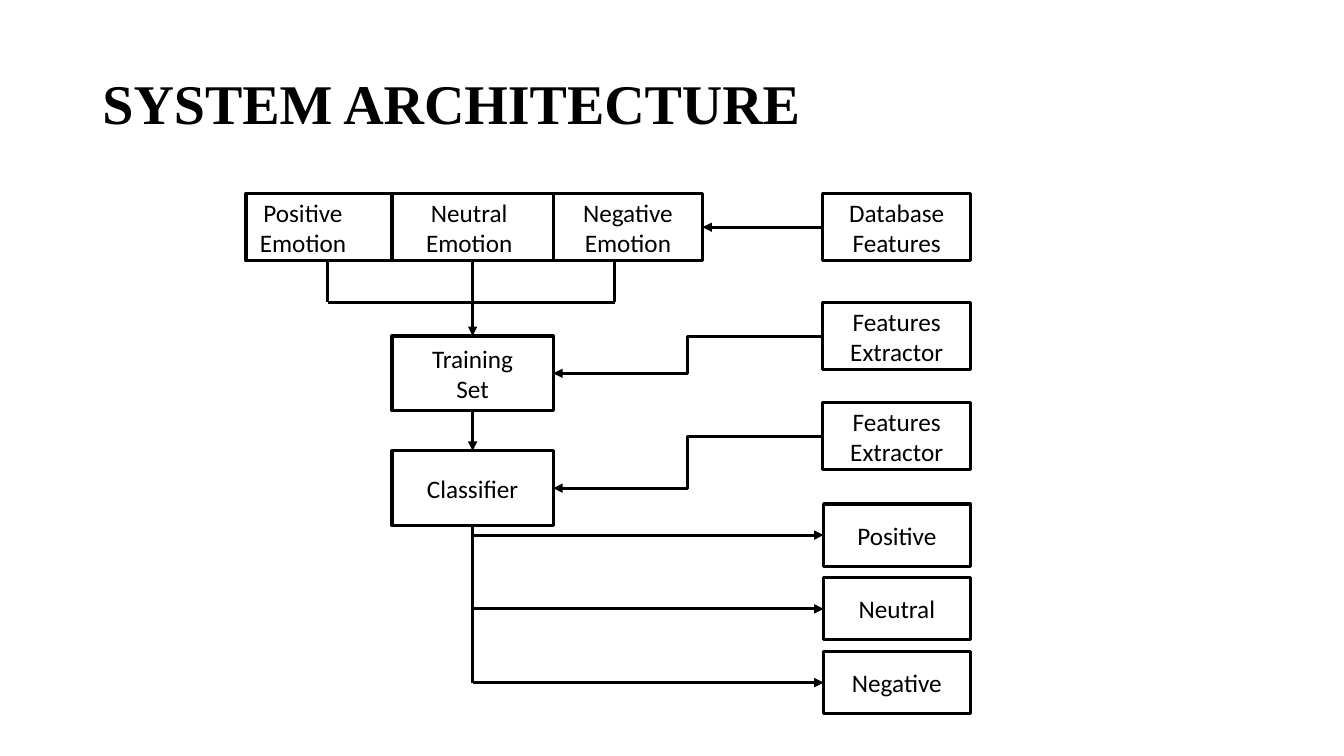
from lxml.etree import SubElement
from pptx import Presentation
from pptx.dml.color import RGBColor
from pptx.enum.shapes import MSO_CONNECTOR, MSO_SHAPE
from pptx.enum.text import MSO_ANCHOR, PP_ALIGN
from pptx.oxml.ns import qn
from pptx.util import Pt

COLORS = {"ink": "000000", "paper": "FFFFFF"}
LINE_WIDTH = 2.25
TOP, LEFT, BOTTOM, RIGHT = range(4)


def add_run(p, text, font, size, bold=False):
    r = p.add_run()
    r.text = text
    r.font.name, r.font.size, r.font.bold = font, Pt(size), bold
    r.font.color.rgb = RGBColor.from_string(COLORS["ink"])


def set_title(s, text):
    sp = s.shapes.title
    sp.left, sp.top, sp.width, sp.height = Pt(66), Pt(28), Pt(828), Pt(96)
    tf = sp.text_frame
    tf.vertical_anchor = MSO_ANCHOR.MIDDLE
    p = tf.paragraphs[0]
    p.alignment, p.line_spacing = PP_ALIGN.LEFT, 0.9
    add_run(p, text, "Times New Roman", 40, bold=True)


def add_box(s, lines, x, y, w, h, right_inset=7.2):
    sp = s.shapes.add_shape(MSO_SHAPE.RECTANGLE, Pt(x), Pt(y), Pt(w), Pt(h))
    sp.shadow.inherit = False
    sp.fill.solid()
    sp.fill.fore_color.rgb = RGBColor.from_string(COLORS["paper"])
    sp.line.color.rgb = RGBColor.from_string(COLORS["ink"])
    sp.line.width = Pt(LINE_WIDTH)
    tf = sp.text_frame
    tf.word_wrap = True
    tf.vertical_anchor = MSO_ANCHOR.MIDDLE
    tf.margin_right = Pt(right_inset)
    for i, line in enumerate(lines):
        p = tf.add_paragraph() if i else tf.paragraphs[0]
        p.alignment = PP_ALIGN.CENTER
        add_run(p, line, "Calibri", 18)
    return sp


def add_link(s, start, end, arrow=True, kind=MSO_CONNECTOR.STRAIGHT):
    """Connect two ends, each an (x, y) point or a (shape, side) pair."""
    joined = [not isinstance(e[0], (int, float)) for e in (start, end)]
    (x1, y1), (x2, y2) = [(0, 0) if j else e for j, e in zip(joined, (start, end))]
    c = s.shapes.add_connector(kind, Pt(x1), Pt(y1), Pt(x2), Pt(y2))
    if joined[0]:
        c.begin_connect(*start)
    if joined[1]:
        c.end_connect(*end)
    c.line.color.rgb = RGBColor.from_string(COLORS["ink"])
    c.line.width = Pt(LINE_WIDTH)
    if arrow:
        SubElement(c.line._get_or_add_ln(), qn("a:tailEnd"), type="triangle")
    SubElement(c._element.spPr, qn("a:effectLst"))


def main():
    prs = Presentation()
    prs.slide_width, prs.slide_height = Pt(960), Pt(540)
    s = prs.slides.add_slide(prs.slide_layouts[5])
    set_title(s, "SYSTEM ARCHITECTURE")

    side_x, side_w, side_h = 587.5, 106, 48.2
    top_y, bus_y, trunk_x = 138.2, 216, 337.6
    edges = [175.7, 280, 395.2, 501.8]
    emotions = [
        add_box(s, [name, "Emotion"], x, top_y, end - x, side_h, inset)
        for name, x, end, inset in zip(
            ["Positive", "Neutral", "Negative"], edges, edges[1:], [30, 12, 7.2])
    ]
    training = add_box(s, ["Training", "Set"], 280, 240, 115.2, 53.4)
    classifier = add_box(s, ["Classifier"], 280, 322, 115.2, 53.4)
    database, training_features, classifier_features = [
        add_box(s, lines, side_x, y, side_w, side_h)
        for lines, y in [(["Database", "Features"], top_y),
                         (["Features", "Extractor"], 216),
                         (["Features", "Extractor"], 287.5)]
    ]

    bus_left, bus_right = 234, 439.2
    for x in (bus_left, bus_right):
        add_link(s, (x, top_y + side_h), (x, bus_y), arrow=False)
    add_link(s, (bus_left, bus_y), (bus_right, bus_y), arrow=False)

    add_link(s, (database, LEFT), (emotions[-1], RIGHT))
    add_link(s, (emotions[1], BOTTOM), (training, TOP))
    add_link(s, (training, BOTTOM), (classifier, TOP))
    for source, target in [(training_features, training), (classifier_features, classifier)]:
        add_link(s, (source, LEFT), (target, RIGHT), kind=MSO_CONNECTOR.ELBOW)

    output_y, output_h, output_pitch = 360, 44.4, 52.7
    for i, name in enumerate(["Positive", "Neutral", "Negative"]):
        y = output_y + i * output_pitch
        output = add_box(s, [name], 588.3, y, 104.7, output_h)
        add_link(s, (trunk_x, y + output_h / 2), (output, LEFT))
    add_link(s, (classifier, BOTTOM), (trunk_x, y + output_h / 2), arrow=False)

    prs.save("out.pptx")


if __name__ == "__main__":
    main()
